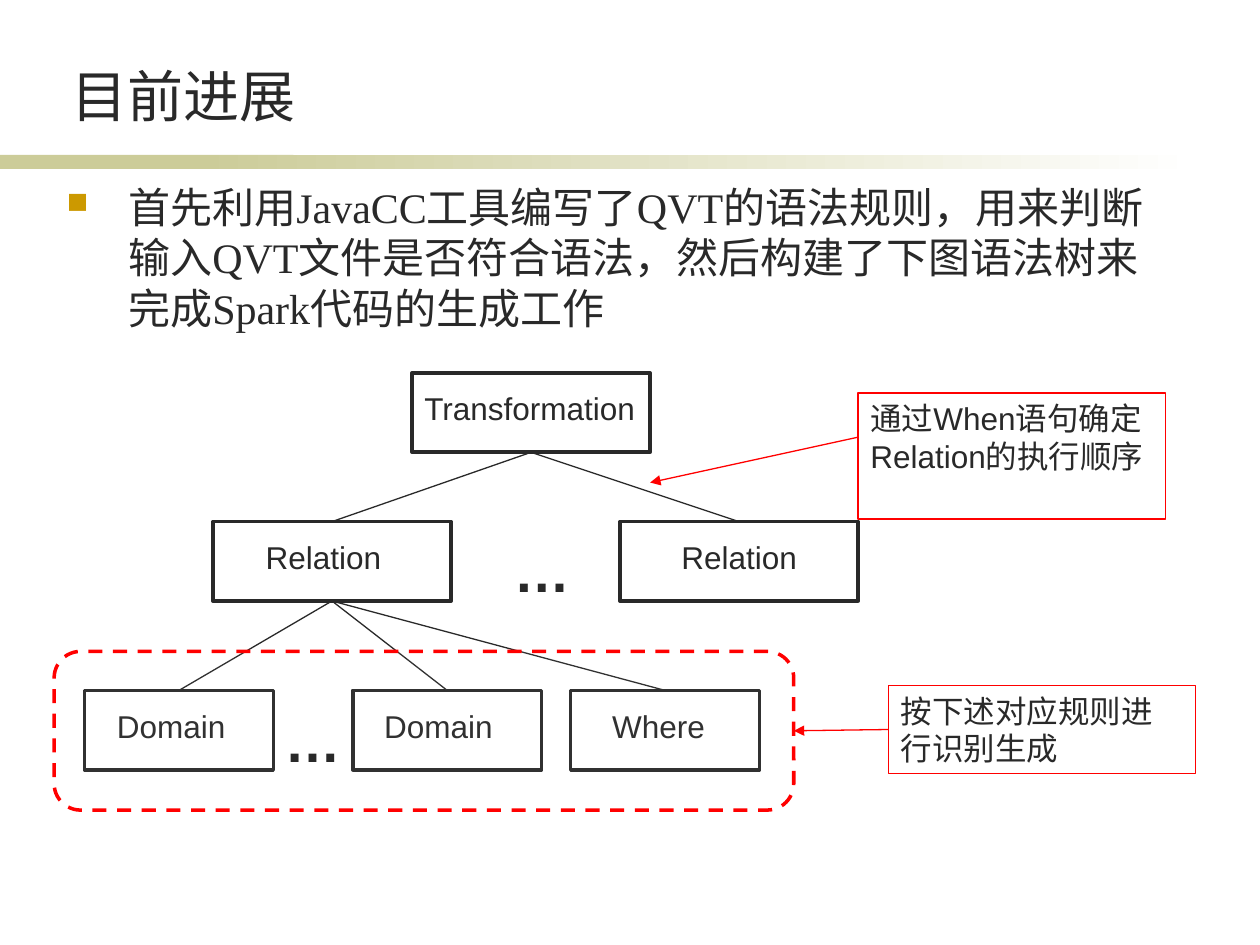
from lxml.etree import SubElement
from pptx import Presentation
from pptx.dml.color import RGBColor
from pptx.enum.dml import MSO_LINE_DASH_STYLE as Dash
from pptx.enum.shapes import MSO_CONNECTOR_TYPE as Link, MSO_SHAPE as Shape
from pptx.enum.text import MSO_ANCHOR as Anchor, MSO_AUTO_SIZE as Fit, PP_ALIGN as Align
from pptx.oxml.ns import qn
from pptx.util import Inches, Pt

COLORS = {"ink": "292929", "paper": "FFFFFF", "band": "CCCC99", "alert": "FF0000", "bullet": "CC9900"}
COLUMNS, ROWS = 100, 75
TOP, LEFT, BOTTOM, RIGHT = range(4)


def color(name):
    return RGBColor.from_string(COLORS[name])


def apply(target, values):
    for name, value in values.items():
        setattr(target, name, value)


class SlideBuilder:
    label = {"size": Pt(18), "name": "Arial", "bold": False}
    dots = {"size": Pt(32), "name": "Arial", "bold": True}
    title = {"size": Pt(32), "name": "Times New Roman", "bold": False}
    body = {"size": Pt(24), "name": "Times New Roman", "bold": False}

    def __init__(self, deck):
        self.page = deck.slides.add_slide(deck.slide_layouts[6])
        self.column = deck.slide_width / COLUMNS
        self.row = deck.slide_height / ROWS

    def place(self, x, y, *size):
        values = (x, y, *size)
        return [round(v * (self.row if i % 2 else self.column)) for i, v in enumerate(values)]

    def box(self, area, fill=None, line=None, width=2, kind=Shape.RECTANGLE):
        box = self.page.shapes.add_shape(kind, *self.place(*area))
        box.shadow.inherit = False
        if fill:
            box.fill.solid()
            box.fill.fore_color.rgb = color(fill)
        else:
            box.fill.background()
        if line:
            box.line.color.rgb = color(line)
            box.line.width = Pt(width)
        else:
            box.line.fill.background()
        return box

    def fade(self, area, start, end):
        box = self.box(area, start)
        box.fill.gradient()
        box.fill.gradient_angle = 0
        for stop, name in zip(box.fill.gradient_stops, (start, end)):
            stop.color.rgb = color(name)

    def fill_text(self, box, text, font, anchor=Anchor.TOP, fit=Fit.SHAPE_TO_FIT_TEXT):
        apply(box.text_frame, {"word_wrap": True, "auto_size": fit, "vertical_anchor": anchor})
        para = box.text_frame.paragraphs[0]
        para.alignment = Align.LEFT
        span = para.add_run()
        span.text = text
        apply(span.font, font)
        span.font.color.rgb = color("ink")
        return para

    def text(self, area, text, font, **options):
        box = self.page.shapes.add_textbox(*self.place(*area))
        return self.fill_text(box, text, font, **options)

    def bullet(self, area, text):
        para = self.text(area, text, self.body, fit=Fit.NONE)
        para.space_before = Pt(6)
        props = para._p.get_or_add_pPr()
        props.set("marL", str(Inches(0.49)))
        props.set("indent", str(-Inches(0.49)))
        tint = SubElement(props, qn("a:buClr"))
        SubElement(tint, qn("a:srgbClr"), val=COLORS["bullet"])
        SubElement(props, qn("a:buSzPct"), val="70000")
        SubElement(props, qn("a:buChar"), char="■")

    def callout(self, area, text):
        box = self.box(area, line="alert", width=0.75)
        self.fill_text(box, text, self.label)
        return box

    def group_frame(self, area):
        box = self.box(area, "paper", "alert", kind=Shape.ROUNDED_RECTANGLE)
        box.adjustments[0] = 0.167
        box.line.dash_style = Dash.DASH
        tint = box._element.spPr.find(qn("a:solidFill"))[0]
        SubElement(tint, qn("a:alpha"), val="4000")
        return box

    def line(self, start=(0, 0), end=(0, 0), joins=(), tint="ink", arrow=False):
        line = self.page.shapes.add_connector(Link.STRAIGHT, *self.place(*start), *self.place(*end))
        if joins:
            line.begin_connect(*joins[0])
            line.end_connect(*joins[1])
        line.line.color.rgb = color(tint)
        line.line.width = Pt(0.75)
        if arrow:
            SubElement(line._element.spPr.find(qn("a:ln")), qn("a:tailEnd"), type="triangle")
        SubElement(line._element.spPr, qn("a:effectLst"))

    def branch(self, parent, children):
        for child in children:
            self.line(joins=((parent, BOTTOM), (child, TOP)))


def main():
    deck = Presentation()
    apply(deck, {"slide_width": Inches(10), "slide_height": Inches(7.5)})
    slide = SlideBuilder(deck)

    slide.box((0, 12.3, 23.3, 1.1), "band")
    slide.fade((15.8, 12.3, 79.2, 1.1), "band", "paper")
    slide.text((4.7, 2.3, 75, 8.4), "目前进展", slide.title, anchor=Anchor.BOTTOM, fit=Fit.NONE)

    nodes = [
        ("Transformation", 32.7, 29.6, 18.9, 0, 20.6),
        ("Relation", 16.9, 41.4, 18.9, 3.2, 14.2),
        ("Relation", 49.2, 41.4, 18.9, 3.9, 14.2),
        ("Domain", 6.7, 54.8, 15, 1.6, 14.2),
        ("Domain", 28, 54.8, 15, 1.5, 14.2),
        ("Where", 45.3, 54.8, 15, 2.3, 14.2),
    ]
    root, first, second, *leaves = [
        slide.box((x, y, width, 6.3), "paper", "ink") for _, x, y, width, _, _ in nodes
    ]
    slide.branch(root, (first, second))
    slide.branch(first, leaves)
    for name, x, y, _, shift, width in nodes:
        slide.text((x + shift, y + 0.8, width, 4), name, slide.label)

    slide.callout((68.1, 31.2, 24.4, 10), "通过When语句确定Relation的执行顺序")
    slide.line((68.1, 34.7), (51.6, 38.3), tint="alert", arrow=True)
    frame = slide.group_frame((4.3, 51.7, 58.7, 12.6))
    note = slide.callout((70.5, 54.4, 24.4, 7), "按下述对应规则进行识别生成")
    slide.line(joins=((note, LEFT), (frame, RIGHT)), tint="alert", arrow=True)
    for x, y in ((39.8, 42.1), (21.6, 55.6)):
        slide.text((x, y, 9.5, 6.4), "…", slide.dots)

    slide.bullet(
        (4.3, 13.9, 89, 48),
        "首先利用JavaCC工具编写了QVT的语法规则，用来判断输入QVT文件是否符合语法，"
        "然后构建了下图语法树来完成Spark代码的生成工作",
    )
    deck.save("out.pptx")


if __name__ == "__main__":
    main()
